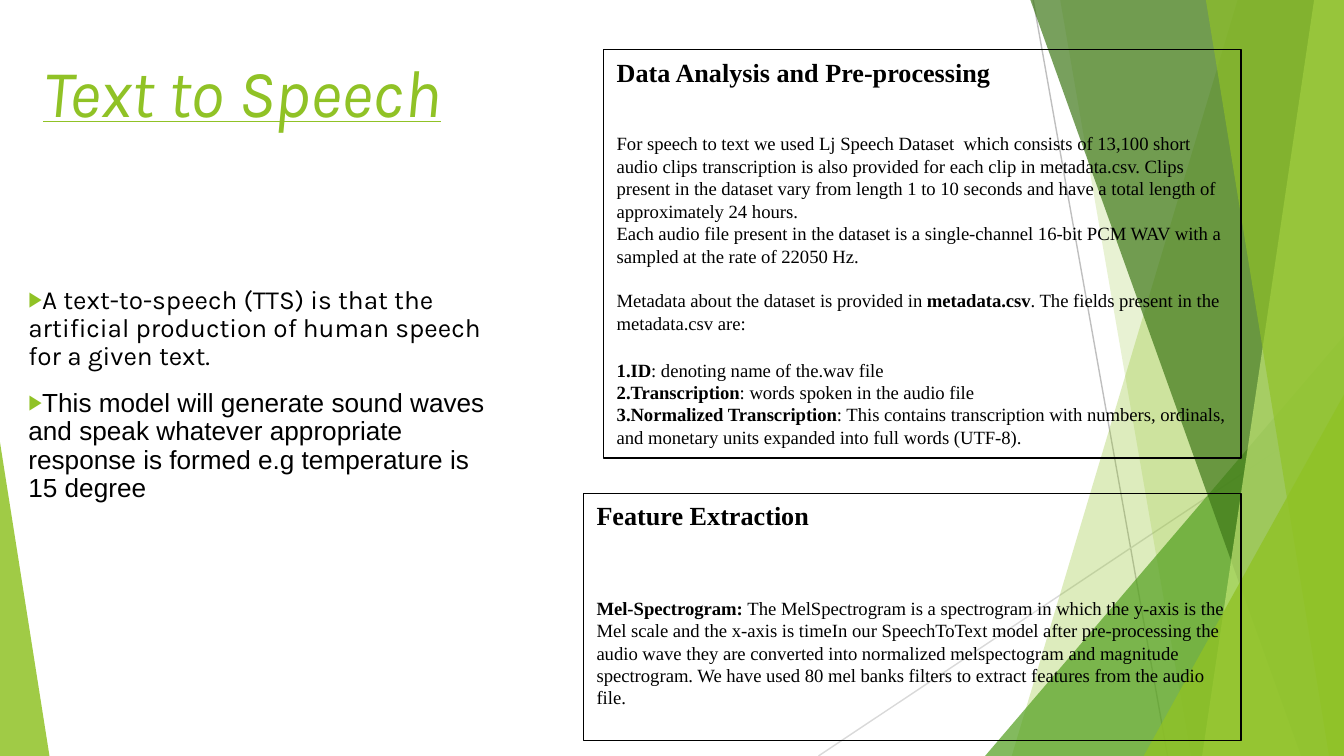
from dataclasses import dataclass

from lxml import etree
from pptx import Presentation
from pptx.dml.color import RGBColor
from pptx.enum.shapes import MSO_CONNECTOR, MSO_SHAPE
from pptx.enum.text import MSO_ANCHOR, MSO_AUTO_SIZE, PP_ALIGN
from pptx.oxml.ns import qn
from pptx.util import Pt

STRAIGHT = MSO_CONNECTOR.STRAIGHT
TRIANGLE, RECTANGLE = MSO_SHAPE.ISOSCELES_TRIANGLE, MSO_SHAPE.RECTANGLE
TOP, MIDDLE = MSO_ANCHOR.TOP, MSO_ANCHOR.MIDDLE
NO_AUTOFIT = MSO_AUTO_SIZE.NONE
LEFT = PP_ALIGN.LEFT


@dataclass(frozen=True)
class Theme:
    green: str = "90C226"
    leaf: str = "54A021"
    forest: str = "3F7819"
    lime: str = "C0E474"
    ink: str = "000000"
    gray: str = "BFBFBF"
    pale_gray: str = "D9D9D9"
    sans: str = "Karla"
    plain: str = "Arial"
    serif: str = "Times New Roman"
    title_size: int = 36
    lead_size: int = 14
    small_size: int = 10


@dataclass(frozen=True)
class Box:
    left: float
    top: float
    width: float
    height: float

    def emu(self):
        return Pt(self.left), Pt(self.top), Pt(self.width), Pt(self.height)


THEME = Theme()


def color(code):
    return RGBColor.from_string(code)


def prepare_frame(frame, anchor):
    frame.word_wrap = True
    frame.auto_size = NO_AUTOFIT
    frame.vertical_anchor = anchor


def move_to_front(page, shape, box):
    shape.left, shape.top, shape.width, shape.height = box.emu()
    page.shapes._spTree.append(shape._element)


def add_span(para, text, *, font=THEME.serif, size=THEME.small_size, ink=THEME.ink,
             bold=False, italic=False, underline=False):
    span = para.add_run()
    span.text = text
    span.font.name, span.font.size = font, Pt(size)
    span.font.color.rgb = color(ink)
    span.font.bold, span.font.italic, span.font.underline = bold, italic, underline


def set_marker(para, *elements):
    """Add bullet elements, each a tag with its attributes, without an indent."""
    props = para._p.get_or_add_pPr()
    props.set("marL", "0")
    props.set("indent", "0")
    for tag, attributes in elements:
        etree.SubElement(props, qn(tag), attributes)


def add_para(frame, before=0, spacing=1.0):
    """Start a paragraph, using the empty first one if there is one."""
    first = frame.paragraphs[0]
    para = first if not first.runs else frame.add_paragraph()
    para.alignment = LEFT
    para.line_spacing = spacing
    para.space_before, para.space_after = Pt(before), Pt(0)
    return para


def paint(shape, fill, opacity):
    shape.shadow.inherit = False
    shape.line.fill.background()
    shape.fill.solid()
    shape.fill.fore_color.rgb = color(fill)
    tint = shape._element.spPr.find(qn("a:solidFill"))[0]
    etree.SubElement(tint, qn("a:alpha"), val=str(opacity * 1000))


def add_ray(page, start, end, ink):
    ray = page.shapes.add_connector(STRAIGHT, *map(Pt, start + end))
    ray.line.color.rgb = color(ink)
    ray.line.width = Pt(0.75)
    etree.SubElement(ray._element.spPr, qn("a:effectLst"))


def add_panel(page, box, top_x, bottom_x, fill, opacity):
    """Fill from a slanted left edge to the right side of the box."""
    right, bottom = box.left + box.width, box.top + box.height
    builder = page.shapes.build_freeform(box.left + top_x, box.top, scale=Pt(1))
    builder.add_line_segments(
        [(right, box.top), (right, bottom), (box.left + bottom_x, bottom)])
    paint(builder.convert_to_shape(), fill, opacity)


def add_triangle(page, box, apex, fill, opacity):
    triangle = page.shapes.add_shape(TRIANGLE, *box.emu())
    triangle.adjustments[0] = apex
    paint(triangle, fill, opacity)


def add_corner(page, box, width, height, fill, opacity):
    """Add a triangle in the lower right corner of the box."""
    left = box.left + box.width - width
    top = box.top + box.height - height
    add_triangle(page, Box(left, top, width, height), 1, fill, opacity)


def draw_facets(page, box):
    x, y = box.left, box.top
    bottom = y + box.height
    add_ray(page, (x + 553.5, y), (x + 625.5, bottom), THEME.gray)
    add_ray(page, (x + box.width, y + 217.5), (x + 438.5, bottom), THEME.pale_gray)
    add_panel(page, box, 663, 542, THEME.green, 30)
    add_panel(page, box, 567.5, 638.5, THEME.green, 20)
    add_corner(page, box, 192.25, 225, THEME.leaf, 72)
    add_panel(page, box, 551.5, 697, THEME.forest, 70)
    add_panel(page, box, 704.5, 643.5, THEME.lime, 70)
    add_panel(page, box, 646, 711.5, THEME.green, 65)
    add_corner(page, box, 107.25, 193.5, THEME.green, 80)
    add_triangle(page, Box(x, bottom - 168, 26.5, 168), 0, THEME.green, 85)


def fill_title(page, box, text):
    title = page.shapes.title
    move_to_front(page, title, box)
    prepare_frame(title.text_frame, MIDDLE)
    add_span(add_para(title.text_frame), text, font=THEME.sans, size=THEME.title_size,
             ink=THEME.green, italic=True, underline=True)


def fill_bullets(page, box, items):
    body = page.placeholders[1]
    move_to_front(page, body, box)
    prepare_frame(body.text_frame, MIDDLE)
    for index, (text, font) in enumerate(items):
        para = add_para(body.text_frame, before=10 if index else 0, spacing=0.9)
        set_marker(para, ("a:buClr", {}), ("a:buSzPct", {"val": "80000"}),
                   ("a:buFont", {"typeface": THEME.plain}), ("a:buChar", {"char": "▶"}))
        etree.SubElement(para._p.pPr.find(qn("a:buClr")), qn("a:srgbClr"), val=THEME.green)
        add_span(para, text, font=font, size=THEME.lead_size)


def add_card(page, box, heading, paragraphs, fields=()):
    """Add an outlined box; paragraphs pair a space before with (text, bold) spans."""
    card = page.shapes.add_shape(RECTANGLE, *box.emu())
    card.shadow.inherit = False
    card.fill.background()
    card.line.color.rgb = color(THEME.ink)
    card.line.width = Pt(0.75)
    frame = card.text_frame
    prepare_frame(frame, TOP)
    add_span(add_para(frame), heading, size=THEME.lead_size, bold=True)
    for before, spans in paragraphs:
        para = add_para(frame, before)
        for text, bold in spans:
            add_span(para, text, bold=bold)
    for index, (name, meaning) in enumerate(fields):
        para = add_para(frame, before=0 if index else 13)
        set_marker(para, ("a:buFont", {"typeface": "+mj-lt"}),
                   ("a:buAutoNum", {"type": "arabicPeriod"}))
        add_span(para, name, bold=True)
        add_span(para, f": {meaning}")


def build_text_to_speech(page, box):
    x, y = box.left, box.top
    draw_facets(page, box)
    fill_title(page, Box(x + 16, y - 0.75, 258.5, 98.5), "Text to Speech")
    fill_bullets(page, Box(x + 8, y + 81.5, 265.5, 260), [
        ("A text-to-speech (TTS) is that the artificial production of human speech for a given text.", THEME.sans),
        ("This model will generate sound waves and speak whatever appropriate response is formed e.g temperature is 15 degree", THEME.plain),
    ])
    add_card(page, Box(x + 323.25, y + 26.5, 341.5, 219), "Data Analysis and Pre-processing", [
        (24, [("For speech to text we used Lj Speech Dataset  which consists of 13,100 short audio clips transcription is also provided for each clip in metadata.csv. Clips present in the dataset vary from length 1 to 10 seconds and have a total length of approximately 24 hours.", False)]),
        (0, [("Each audio file present in the dataset is a single-channel 16-bit PCM WAV with a sampled at the rate of 22050 Hz.", False)]),
        (12, [("Metadata about the dataset is provided in ", False), ("metadata.csv", True),
              (". The fields present in the metadata.csv are:", False)]),
    ], fields=[
        ("ID", "denoting name of the.wav file"),
        ("Transcription", "words spoken in the audio file"),
        ("Normalized Transcription", "This contains transcription with numbers, ordinals, and monetary units expanded into full words (UTF-8)."),
    ])
    add_card(page, Box(x + 312.5, y + 264.25, 352.25, 132.5), "Feature Extraction", [
        (35, [("Mel-Spectrogram: ", True),
              ("The MelSpectrogram is a spectrogram in which the y-axis is the Mel scale and the x-axis is timeIn our SpeechToText model after pre-processing the audio wave they are converted into normalized melspectogram and magnitude spectrogram. We have used 80 mel banks filters to extract features from the audio file.", False)]),
    ])


def main():
    deck = Presentation()
    deck.slide_width, deck.slide_height = Pt(720), Pt(405)
    page = deck.slides.add_slide(deck.slide_layouts[1])
    build_text_to_speech(page, Box(0, 0, 720, 405))
    deck.save("out.pptx")


if __name__ == "__main__":
    main()
